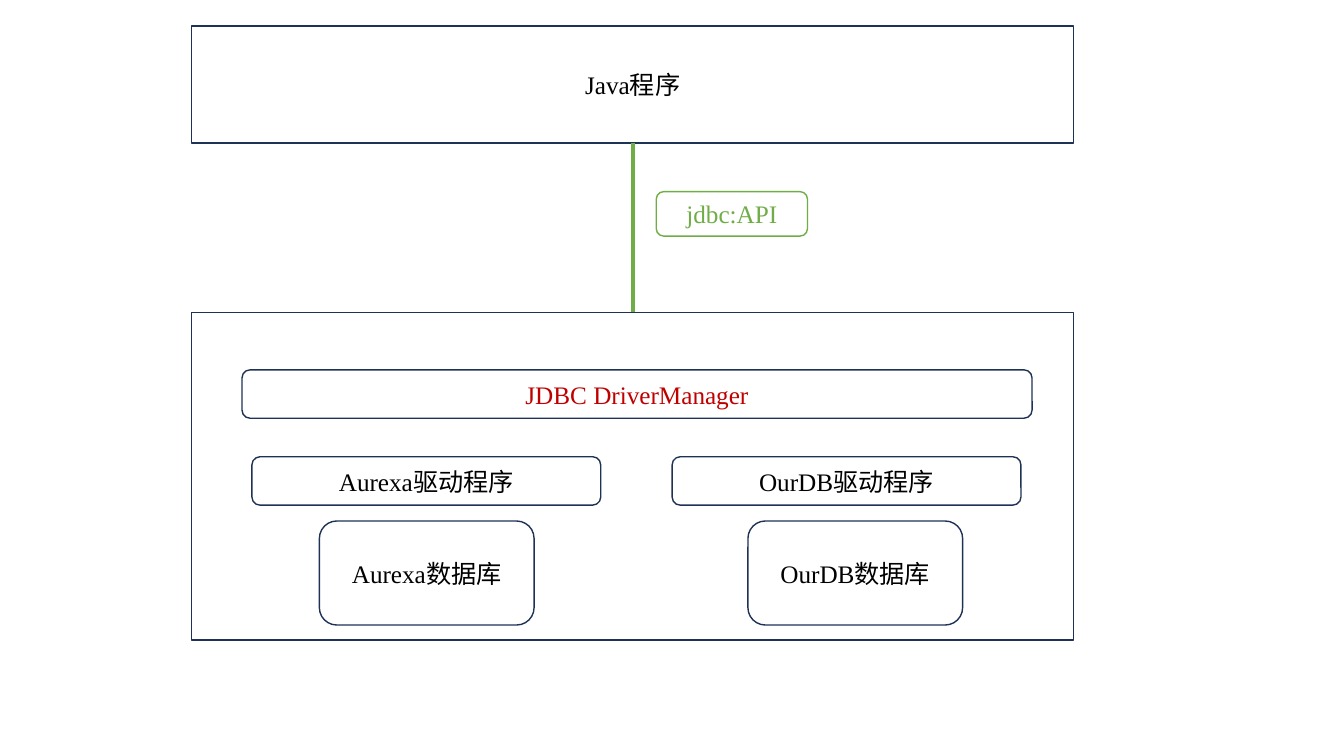
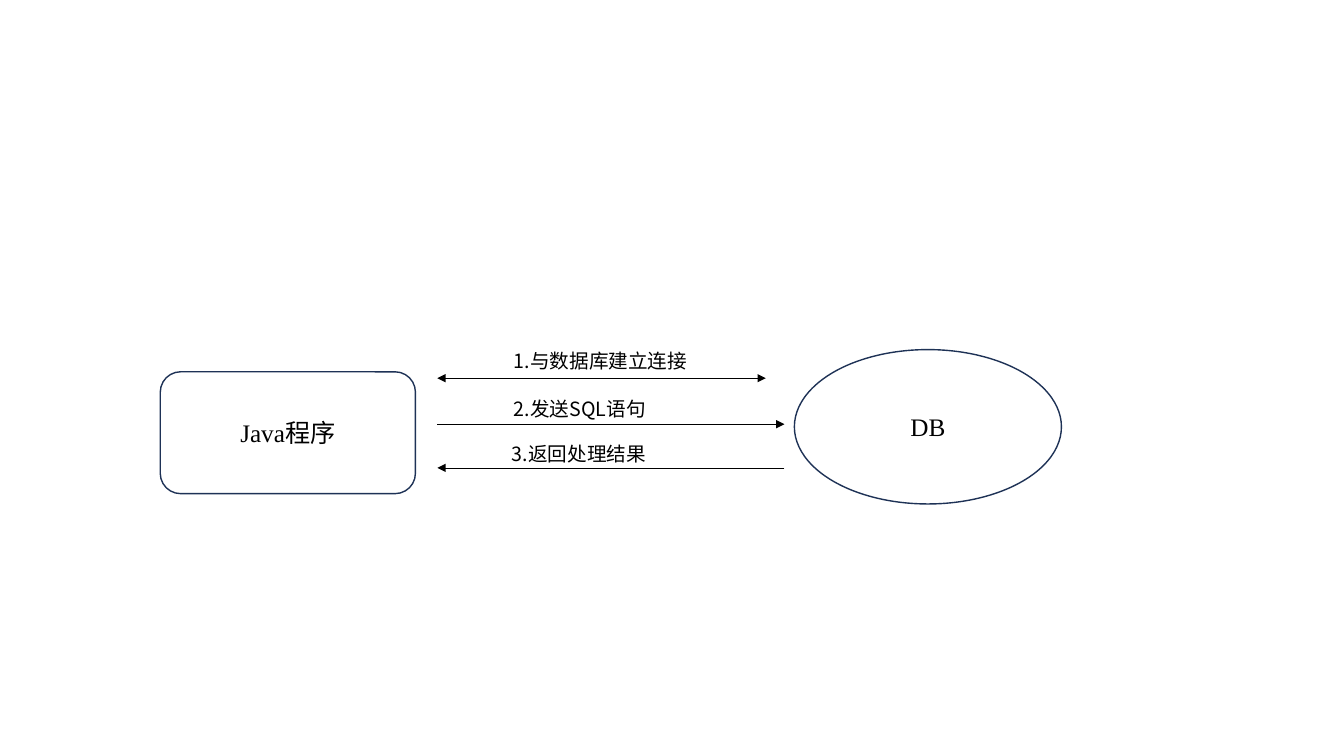
from typing import NamedTuple

from lxml import etree
from pptx import Presentation
from pptx.dml.color import RGBColor
from pptx.enum.shapes import MSO_CONNECTOR, MSO_SHAPE
from pptx.enum.text import MSO_ANCHOR, MSO_AUTO_SIZE, PP_ALIGN
from pptx.oxml.ns import qn
from pptx.util import Cm, Pt

RECT = MSO_SHAPE.RECTANGLE
ROUND = MSO_SHAPE.ROUNDED_RECTANGLE
OVAL = MSO_SHAPE.OVAL
LINE = MSO_CONNECTOR.STRAIGHT
CENTER, LEFT = PP_ALIGN.CENTER, PP_ALIGN.LEFT
MIDDLE, TOP = MSO_ANCHOR.MIDDLE, MSO_ANCHOR.TOP
FIT = MSO_AUTO_SIZE.SHAPE_TO_FIT_TEXT

NAVY, GREEN, RED = "1E3256", "70AD47", "C00000"
BLACK, WHITE = "000000", "FFFFFF"
SERIF, SANS = "Times New Roman", "Noto Sans CJK SC"
BOTTOM_SIDE, TOP_SIDE = 2, 0


class Box(NamedTuple):
    """A framed node; lengths in centimetres."""
    left: float
    top: float
    width: float
    height: float
    text: str = ""
    kind: int = ROUND
    line: str = NAVY
    ink: str = BLACK


class Step(NamedTuple):
    """A numbered message and its arrow; lengths in centimetres."""
    text: str
    left: float
    top: float
    start: float
    end: float
    level: float
    both: bool = False


def color(code: str) -> RGBColor:
    return RGBColor.from_string(code)


def write(shape, text: str, *, size: float = 18, font: str = SERIF,
          ink: str = BLACK, align=CENTER, anchor=MIDDLE) -> None:
    frame = shape.text_frame
    frame.word_wrap = True
    frame.vertical_anchor = anchor
    para = frame.paragraphs[0]
    para.alignment = align
    run = para.add_run()
    run.text = text
    run.font.size = Pt(size)
    run.font.name = font
    run.font.color.rgb = color(ink)
    # East Asian typeface
    props = run._r.get_or_add_rPr()
    etree.SubElement(props, qn("a:ea"), typeface=SANS)


def draw_box(slide, box: Box):
    shape = slide.shapes.add_shape(
        box.kind, Cm(box.left), Cm(box.top), Cm(box.width), Cm(box.height))
    shape.shadow.inherit = False
    shape.fill.solid()
    shape.fill.fore_color.rgb = color(WHITE)
    shape.line.color.rgb = color(box.line)
    shape.line.width = Pt(1)
    if box.text:
        write(shape, box.text, ink=box.ink)
    return shape


def draw_line(slide, start: tuple[float, float], end: tuple[float, float],
              ink: str, width: float, ends: tuple[str, ...] = ()):
    link = slide.shapes.add_connector(
        LINE, Cm(start[0]), Cm(start[1]), Cm(end[0]), Cm(end[1]))
    link.line.color.rgb = color(ink)
    link.line.width = Pt(width)
    stroke = link.line._get_or_add_ln()
    for tag in ends:
        etree.SubElement(stroke, qn(tag), type="triangle")
    etree.SubElement(link._element.spPr, qn("a:effectLst"))
    return link


def draw_step(slide, step: Step) -> None:
    ends = ("a:headEnd", "a:tailEnd") if step.both else ("a:tailEnd",)
    draw_line(slide, (step.start, step.level), (step.end, step.level),
              BLACK, 0.5, ends)
    label = slide.shapes.add_textbox(
        Cm(step.left), Cm(step.top), Cm(6.96), Cm(0.86))
    write(label, step.text, size=14, font=SANS, align=LEFT, anchor=TOP)
    label.text_frame.auto_size = FIT


def build_layers(slide) -> None:
    # Outer frame, then a driver and a database for each vendor
    layer = draw_box(slide, Box(4.83, 7.87, 22.23, 8.26, kind=RECT))
    for name, drive, store in (("Aurexa", 6.35, 8.05),
                               ("OurDB", 16.94, 18.85)):
        draw_box(slide, Box(store, 13.13, 5.41, 2.62, f"{name}数据库"))
        draw_box(slide, Box(drive, 11.51, 8.79, 1.22, f"{name}驱动程序"))
    draw_box(slide, Box(6.1, 9.32, 19.91, 1.22, "JDBC DriverManager",
                        ink=RED))

    # Program on top, joined to the frame by the API
    program = draw_box(slide, Box(4.83, 0.66, 22.23, 2.95, "Java程序", RECT))
    link = draw_line(slide, (15.94, 3.61), (15.94, 7.87), GREEN, 3)
    link.begin_connect(program, BOTTOM_SIDE)
    link.end_connect(layer, TOP_SIDE)
    draw_box(slide, Box(16.54, 4.83, 3.81, 1.12, "jdbc:API",
                        line=GREEN, ink=GREEN))


def build_flow(slide) -> None:
    # Two parties
    draw_box(slide, Box(4.04, 9.37, 6.43, 3.07, "Java程序"))
    draw_box(slide, Box(20.02, 8.81, 6.73, 3.89, "DB", OVAL))

    # Messages between them
    near, far = 11.02, 19.77
    for step in (
        Step("1.与数据库建立连接", 12.7, 8.66, near, 19.3, 9.53, True),
        Step("2.发送SQL语句", 12.7, 9.88, near, far, 10.69),
        Step("3.返回处理结果", 12.65, 11.02, far, near, 11.79),
    ):
        draw_step(slide, step)


def main() -> None:
    deck = Presentation()
    deck.slide_width, deck.slide_height = Cm(33.87), Cm(19.05)
    blank = deck.slide_layouts[6]
    for build in (build_layers, build_flow):
        build(deck.slides.add_slide(blank))
    deck.save("out.pptx")


if __name__ == "__main__":
    main()
